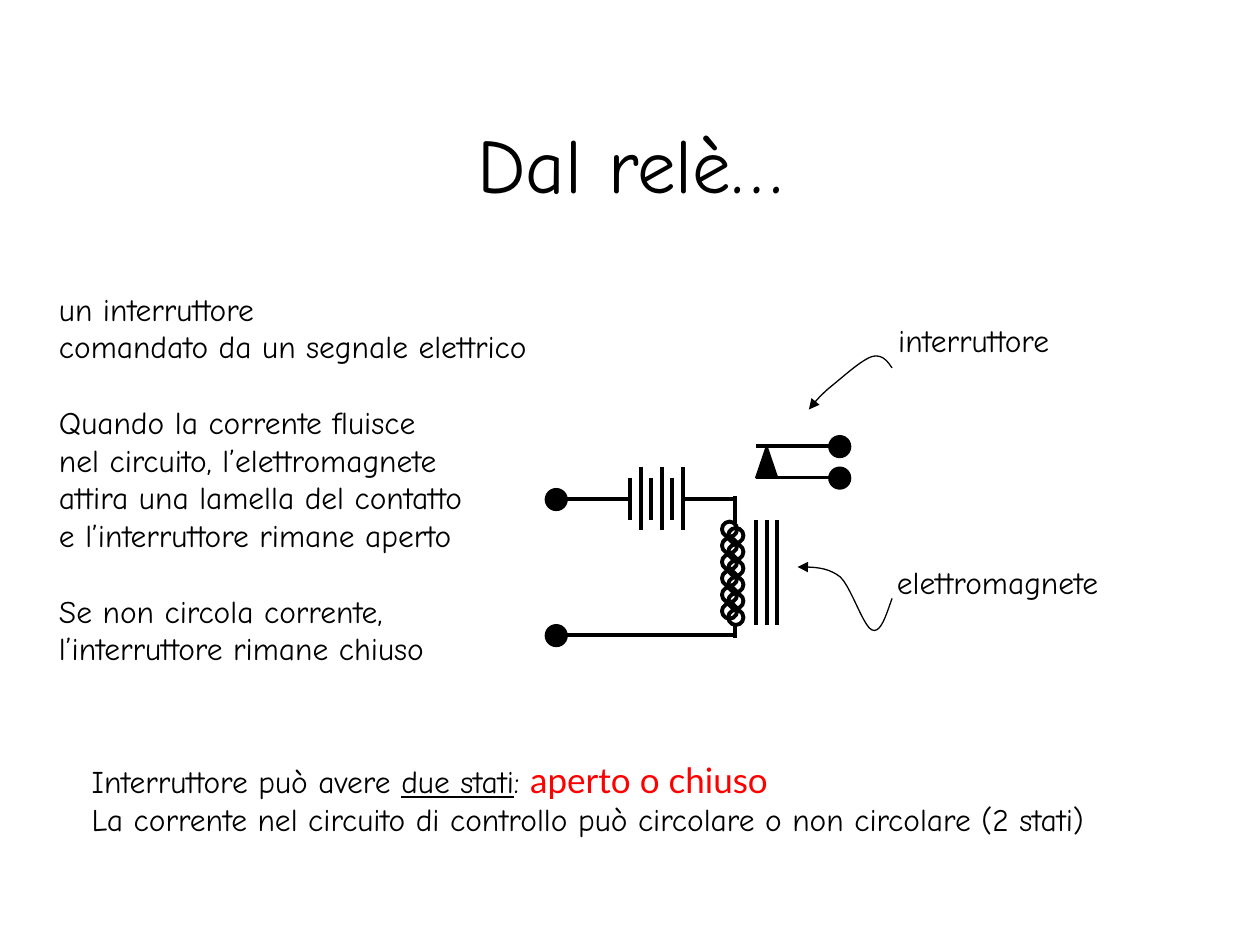
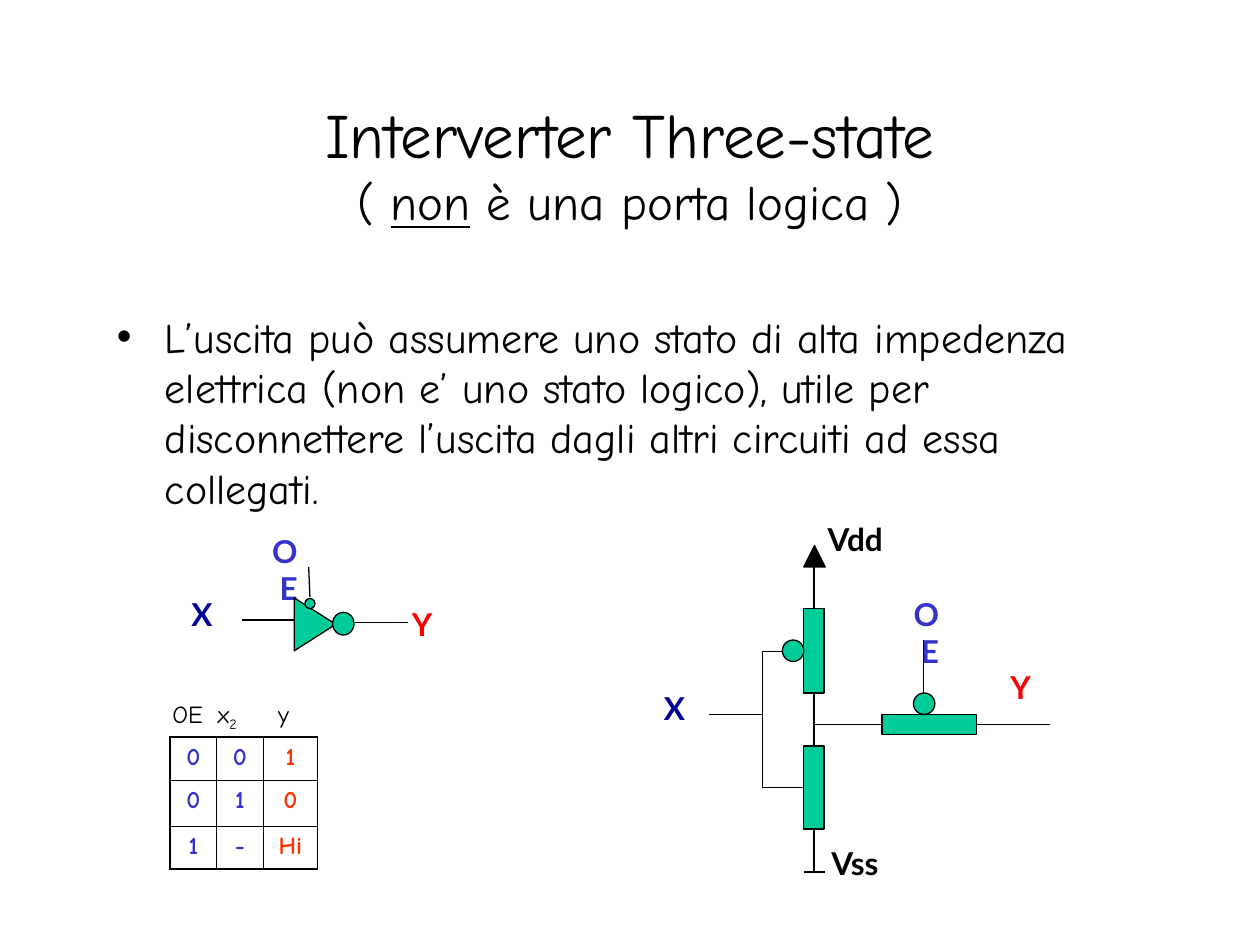
from collections import namedtuple
from dataclasses import dataclass

from lxml.etree import SubElement
from pptx import Presentation
from pptx.dml.color import RGBColor
from pptx.enum.shapes import MSO_CONNECTOR, MSO_SHAPE
from pptx.enum.text import MSO_ANCHOR, MSO_AUTO_SIZE, PP_ALIGN
from pptx.oxml.ns import qn
from pptx.shapes.connector import Connector
from pptx.util import Inches, Pt

TextStyle = namedtuple("TextStyle", "size font color bold underline baseline",
                       defaults=(False, False, 0))


@dataclass(frozen=True)
class Theme:
    hand: str = "Comic Neue"
    plain: str = "Lato"
    black: str = "000000"
    red: str = "FF0000"
    navy: str = "000099"
    blue: str = "3333CC"
    orange: str = "FF3300"
    green: str = "00CC99"
    title: int = 44
    long_title: int = 36
    subtitle: int = 28
    body: int = 24
    emphasis: int = 20
    label: int = 18
    table: int = 14
    thin: float = 0.75
    terminal: float = 1
    thick: float = 2.25
    table_edge: float = 1.08
    table_inner: float = 0.45


theme = Theme()


def style(part, weight, fill=None):
    """Give a shape or connector its outline and fill, without a shadow."""
    part.line.color.rgb = RGBColor.from_string(theme.black)
    part.line.width = Pt(weight)
    if isinstance(part, Connector):
        SubElement(part._element.spPr, qn("a:effectLst"))
        return part
    part.shadow.inherit = False
    if fill:
        part.fill.solid()
        part.fill.fore_color.rgb = RGBColor.from_string(fill)
    else:
        part.fill.background()
    return part


def write(frame, paragraphs, align=PP_ALIGN.LEFT):
    """Fill a text frame; each paragraph is a list of (text, style) runs."""
    frame.word_wrap = True
    for number, runs in enumerate(paragraphs):
        paragraph = frame.add_paragraph() if number else frame.paragraphs[0]
        paragraph.alignment = align
        for text, look in runs:
            if text == "\n":
                paragraph.add_line_break()
                continue
            run = paragraph.add_run()
            run.text = text
            run.font.size = Pt(look.size)
            run.font.name = look.font
            run.font.color.rgb = RGBColor.from_string(look.color)
            run.font.bold = look.bold
            run.font.underline = look.underline
            if look.baseline:
                run.font._element.set("baseline", str(look.baseline))


deck = Presentation()
deck.slide_width, deck.slide_height = Inches(10), Inches(7.5)

# Titles
hand_label = TextStyle(theme.label, theme.hand, theme.black)
subtitle = hand_label._replace(size=theme.subtitle)
titles = [
    [("Dal relè…", hand_label._replace(size=theme.title))],
    [("Interverter Three-state", hand_label._replace(size=theme.long_title)),
     ("\n", None), ("( ", subtitle), ("non", subtitle._replace(underline=True)),
     (" è una porta logica )", subtitle)],
]
for runs in titles:
    slide = deck.slides.add_slide(deck.slide_layouts[5])
    heading = slide.shapes.title
    heading.left, heading.top = Inches(0.75), Inches(0.67)
    heading.width, heading.height = Inches(8.5), Inches(1.25)
    heading.text_frame.auto_size = MSO_AUTO_SIZE.NONE
    heading.text_frame.vertical_anchor = MSO_ANCHOR.MIDDLE
    write(heading.text_frame, [runs], PP_ALIGN.CENTER)
relay, inverter = deck.slides

# Relay: coil
for column_left, column_top in [(5.73, 4.14), (5.78, 4.19)]:
    for turn in range(6):
        style(relay.shapes.add_shape(
            MSO_SHAPE.OVAL, Inches(column_left), Inches(column_top + 0.13 * turn),
            Inches(0.12), Inches(0.12)), theme.thick)

# Relay: battery plates, magnet core and wires
relay_wires = [
    (5.42, 3.96, 5.83, 3.96), (5, 3.96, 4.42, 3.96),
    (5.83, 3.94, 5.83, 4.15), (5.83, 4.96, 5.83, 5.06), (5.84, 5.04, 4.42, 5.04),
    (6, 3.54, 6.67, 3.54), (6, 3.79, 6.67, 3.79),
]
for plate in range(6):
    x, half = 5 + 0.42 * plate / 5, 0.25 if plate % 2 else 0.17
    relay_wires.append((x, 3.96 - half, x, 3.96 + half))
for bar in range(3):
    x = 6 + 0.17 * bar / 2
    relay_wires.append((x, 4.13, x, 4.96))
for ends in relay_wires:
    style(relay.shapes.add_connector(MSO_CONNECTOR.STRAIGHT, *map(Inches, ends)),
          theme.thick)

# Relay: terminals and contact
for left, top in [(4.33, 4.96), (4.33, 3.88), (6.58, 3.46), (6.58, 3.71)]:
    style(relay.shapes.add_shape(MSO_SHAPE.OVAL, Inches(left), Inches(top),
                                 Inches(0.17), Inches(0.17)),
          theme.terminal, theme.black)
style(relay.shapes.add_shape(MSO_SHAPE.ISOSCELES_TRIANGLE, Inches(6), Inches(3.54),
                             Inches(0.17), Inches(0.25)),
      theme.terminal, theme.black)

# Relay: curved pointers, as chains of Bézier control points
pointers = [
    [(7.08, 4.75), (7.03, 4.89), (6.99, 5.03), (6.92, 5), (6.85, 4.97),
     (6.76, 4.67), (6.67, 4.58), (6.57, 4.5), (6.45, 4.5), (6.33, 4.5)],
    [(7.08, 2.92), (7.04, 2.86), (7, 2.81), (6.92, 2.83), (6.83, 2.86),
     (6.67, 3.01), (6.58, 3.08), (6.5, 3.15), (6.46, 3.2), (6.42, 3.25)],
]
steps = 10
for controls in pointers:
    curve = []
    for first in range(0, len(controls) - 1, 3):
        for step in range(1, steps + 1):
            t = step / steps
            weights = ((1 - t) ** 3, 3 * t * (1 - t) ** 2, 3 * t * t * (1 - t), t ** 3)
            curve.append(tuple(
                Inches(sum(w * point[axis] for w, point
                           in zip(weights, controls[first:first + 4])))
                for axis in (0, 1)))
    start_x, start_y = map(Inches, controls[0])
    outline = relay.shapes.build_freeform(start_x, start_y)
    outline.add_line_segments(curve, close=False)
    pointer = style(outline.convert_to_shape(), theme.thin)
    SubElement(pointer.line._get_or_add_ln(), qn("a:tailEnd"), type="triangle")

# Relay: explanation, with a line's gap before each new thought
explanation = [
    "un interruttore", "comandato da un segnale elettrico",
    "Quando la corrente fluisce", "nel circuito, l’elettromagnete",
    "attira una lamella del contatto", "e l’interruttore rimane aperto",
    "Se non circola corrente,", "l’interruttore rimane chiuso",
]
states = [
    [("Interruttore può avere ", hand_label),
     ("due stati", hand_label._replace(underline=True)), (": ", hand_label),
     ("aperto o chiuso", TextStyle(theme.emphasis, theme.plain, theme.red))],
    [("La corrente nel circuito di controllo può circolare o non circolare (2 stati)",
      hand_label)],
]
relay_texts = [
    (0.37, 2.25, 4.2, 3.1, [[(line, hand_label)] for line in explanation]),
    (7.02, 4.42, 2.1, 0.4, [[("elettromagnete", hand_label)]]),
    (7.03, 2.5, 1.7, 0.4, [[("interruttore", hand_label)]]),
    (0.63, 5.97, 8.6, 0.74, states),
]
for *box, paragraphs in relay_texts:
    frame = relay.shapes.add_textbox(*map(Inches, box)).text_frame
    write(frame, paragraphs)
    for paragraph in frame.paragraphs:
        if paragraph.text.startswith(("Quando", "Se non")):
            paragraph.space_before = Pt(21.5)

# Inverter: bulleted statement
statement = inverter.shapes.add_textbox(
    Inches(0.83), Inches(2.42), Inches(8.5), Inches(1.8)).text_frame
bullet = statement.paragraphs[0]._p.get_or_add_pPr()
bullet.set("marL", str(Inches(0.38)))
bullet.set("indent", str(-Inches(0.38)))
SubElement(SubElement(bullet, qn("a:buClr")), qn("a:srgbClr"), val=theme.black)
SubElement(bullet, qn("a:buFont"), typeface="Arial")
SubElement(bullet, qn("a:buChar"), char="•")
write(statement, [[(
    "L’uscita può assumere uno stato di alta impedenza elettrica (non e’ uno stato "
    "logico), utile per disconnettere l’uscita dagli altri circuiti ad essa collegati.",
    hand_label._replace(size=theme.body))]])

# Inverter: signal names
signals = [
    ("X", theme.navy, 1.42, 4.67, 0.5), ("Y", theme.red, 3.17, 4.75, 0.67),
    ("OE", theme.blue, 1.94, 4.17, 0.52), ("X", theme.navy, 5.17, 5.42, 0.5),
    ("Y", theme.red, 7.92, 5.25, 0.5), ("OE", theme.blue, 7.03, 4.67, 0.52),
    ("Vdd", theme.black, 6.47, 4.08, 0.9), ("Vss", theme.black, 6.5, 6.65, 0.9),
]
for name, color, left, top, width in signals:
    frame = inverter.shapes.add_textbox(
        Inches(left), Inches(top), Inches(width), Inches(0.4)).text_frame
    write(frame, [[(name, TextStyle(theme.label, theme.plain, color, True))]],
          PP_ALIGN.RIGHT if name == "OE" else PP_ALIGN.LEFT)

# Inverter: truth table
truth_rows = [("0", "0", "1"), ("0", "1", "0"), ("1", "-", "Hi")]
truth = inverter.shapes.add_table(3, 3, Inches(1.35), Inches(5.85),
                                  Inches(1.17), Inches(1.05)).table
truth.first_row = truth.horz_banding = False
for column, width in zip(truth.columns, (0.37, 0.37, 0.43)):
    column.width = Inches(width)
for row, height in zip(truth.rows, (0.34, 0.37, 0.34)):
    row.height = Inches(height)
for r, values in enumerate(truth_rows):
    for c, value in enumerate(values):
        cell = truth.cell(r, c)
        color = theme.orange if c == 2 else theme.blue
        write(cell.text_frame,
              [[(value, TextStyle(theme.table, theme.hand, color, True))]],
              PP_ALIGN.CENTER)
        outer_sides = {"a:lnL": c == 0, "a:lnR": c == 2, "a:lnT": r == 0, "a:lnB": r == 2}
        for side, outer in outer_sides.items():
            weight = theme.table_edge if outer else theme.table_inner
            border = SubElement(cell._tc.get_or_add_tcPr(), qn(side), w=str(Pt(weight)))
            SubElement(SubElement(border, qn("a:solidFill")), qn("a:srgbClr"),
                       val=theme.black)
        cell.fill.background()

# Inverter: column heads of the truth table
heads = inverter.shapes.add_textbox(
    Inches(1.27), Inches(5.5), Inches(1.3), Inches(0.37)).text_frame
tab_stops = SubElement(heads.paragraphs[0]._p.get_or_add_pPr(), qn("a:tabLst"))
for stop in (0.36, 0.84):
    SubElement(tab_stops, qn("a:tab"), pos=str(Inches(stop)), algn="l")
head = hand_label._replace(size=theme.table)
write(heads, [[("OE\tx", head), ("2", head._replace(baseline=-25000)), ("\ty", head)]])

# Inverter: transistors
pull_up, pull_down, output_gate = [
    style(inverter.shapes.add_shape(MSO_SHAPE.RECTANGLE, *map(Inches, box)),
          theme.thin, theme.green)
    for box in [(6.38, 4.83, 0.16, 0.67), (6.38, 5.92, 0.16, 0.66),
                (7, 5.67, 0.75, 0.16)]]

# Inverter: wires, each with the transistor sides it joins
TOP, LEFT, BOTTOM, RIGHT = range(4)
inverter_wires = [
    (6.46, 6.92, 6.46, 6.58, None, (pull_down, BOTTOM)),
    (6.46, 5.92, 6.46, 5.5, (pull_down, TOP), (pull_up, BOTTOM)),
    (6.46, 4.83, 6.46, 4.5, (pull_up, TOP), None),
    (6.46, 5.75, 7, 5.75, None, (output_gate, LEFT)),
    (7.75, 5.75, 8.33, 5.75, (output_gate, RIGHT), None),
    (6.38, 6.25, 6.05, 6.25, (pull_down, LEFT), None),
    (6.05, 5.17, 6.3, 5.17, None, None), (6.05, 5.17, 6.05, 6.25, None, None),
    (5.63, 5.67, 6.05, 5.67, None, None), (6.38, 6.92, 6.55, 6.92, None, None),
    (7.33, 5.08, 7.33, 5.5, None, None), (1.92, 4.92, 2.33, 4.92, None, None),
    (2.82, 4.94, 3.24, 4.94, None, None), (2.45, 4.5, 2.46, 4.74, None, None),
]
for *ends, begin_side, end_side in inverter_wires:
    wire = style(inverter.shapes.add_connector(
        MSO_CONNECTOR.STRAIGHT, *map(Inches, ends)), theme.thin)
    if begin_side:
        wire.begin_connect(*begin_side)
    if end_side:
        wire.end_connect(*end_side)

# Inverter: negation circles, supply arrow and gate symbol
symbols = [
    (MSO_SHAPE.OVAL, 6.21, 5.08, 0.17, 0.17, 0, theme.green),
    (MSO_SHAPE.OVAL, 7.25, 5.5, 0.17, 0.17, 0, theme.green),
    (MSO_SHAPE.ISOSCELES_TRIANGLE, 6.38, 4.33, 0.17, 0.17, 0, theme.black),
    (MSO_SHAPE.ISOSCELES_TRIANGLE, 2.29, 4.79, 0.42, 0.33, 90, theme.green),
    (MSO_SHAPE.OVAL, 2.42, 4.75, 0.08, 0.08, 0, theme.green),
    (MSO_SHAPE.OVAL, 2.64, 4.86, 0.17, 0.18, 0, theme.green),
]
for kind, *box, turn, fill in symbols:
    symbol = style(inverter.shapes.add_shape(kind, *map(Inches, box)), theme.thin, fill)
    symbol.rotation = turn

deck.save("out.pptx")
